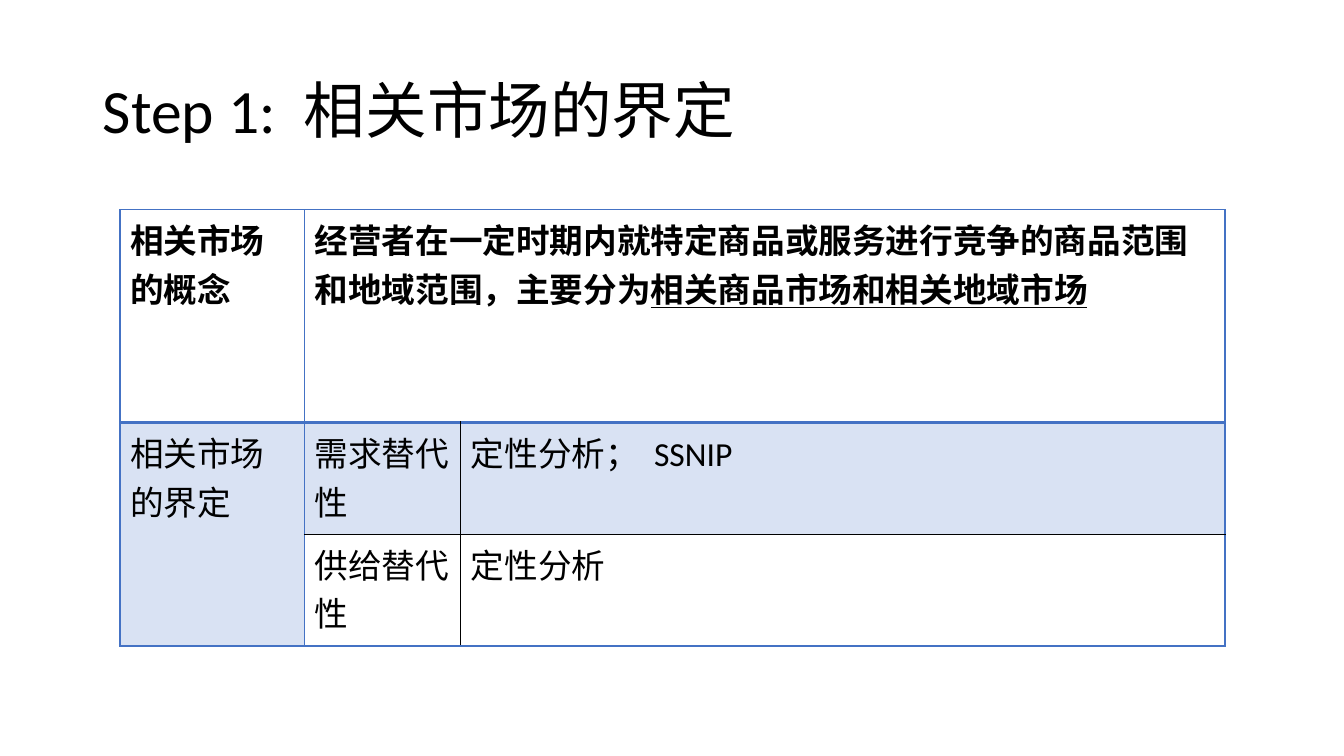
from lxml.etree import SubElement
from pptx import Presentation
from pptx.dml.color import RGBColor
from pptx.enum.text import MSO_ANCHOR as Anchor, PP_ALIGN as Align
from pptx.oxml.ns import qn
from pptx.util import Inches, Pt

BLACK = RGBColor(0x00, 0x00, 0x00)
BLUE = RGBColor(0x44, 0x72, 0xC4)
FONT = "Calibri"
TABLE_SIZE = 24
COLUMN_WIDTHS = (1.83, 1.55, 7.58)
ROW_HEIGHTS = (2.11, 1.11, 1.11)


def add_run(paragraph, text, size, bold=False, underline=False, tracking=0):
    run = paragraph.add_run()
    run.text = text
    font = run.font
    font.name = FONT
    font.size = Pt(size)
    font.bold = bold
    font.underline = underline
    font.color.rgb = BLACK
    if tracking:
        run._r.get_or_add_rPr().set("spc", str(tracking))


def add_title(slide):
    title = slide.shapes.title
    title.left, title.top = Inches(0.92), Inches(0.4)
    title.width, title.height = Inches(11.5), Inches(1.45)
    title.text_frame.vertical_anchor = Anchor.MIDDLE
    paragraph = title.text_frame.paragraphs[0]
    paragraph.alignment = Align.LEFT
    paragraph.line_spacing = 0.9
    add_run(paragraph, "Step 1:", 44)
    add_run(paragraph, " ", 44, tracking=1000)
    add_run(paragraph, "相关市场的界定", 44)


def vertical_line(row, edge):
    if edge == 2:
        return None if row == 0 else (BLACK, 1)
    return BLUE, 1


def horizontal_line(edge, column):
    if edge == 2:
        return None if column == 0 else (BLACK, 1)
    return BLUE, 2 if edge == 1 else 1


def add_border(cell, side, style):
    properties = cell._tc.get_or_add_tcPr()
    line = SubElement(properties, qn(f"a:ln{side}"))
    if style is None:
        SubElement(line, qn("a:noFill"))
        return
    color, width = style
    line.set("w", str(Pt(width)))
    fill = SubElement(line, qn("a:solidFill"))
    SubElement(fill, qn("a:srgbClr")).set("val", str(color))


def format_cell(cell, row, column):
    right = column + (cell.span_width if cell.is_merge_origin else 1)
    bottom = row + (cell.span_height if cell.is_merge_origin else 1)
    add_border(cell, "L", vertical_line(row, column))
    add_border(cell, "R", vertical_line(row, right))
    add_border(cell, "T", horizontal_line(row, column))
    add_border(cell, "B", horizontal_line(bottom, column))
    if row == 1:
        cell.fill.solid()
        cell.fill.fore_color.rgb = BLUE
        color = cell._tc.tcPr.find(qn("a:solidFill")).find(qn("a:srgbClr"))
        SubElement(color, qn("a:alpha")).set("val", "20000")
    else:
        cell.fill.background()


def write_cell(cell, *runs):
    paragraph = cell.text_frame.paragraphs[0]
    for text, options in runs:
        add_run(paragraph, text, TABLE_SIZE, **options)


def add_market_table(slide):
    frame = slide.shapes.add_table(
        len(ROW_HEIGHTS), len(COLUMN_WIDTHS), Inches(1.19), Inches(2.08),
        Inches(sum(COLUMN_WIDTHS)), Inches(sum(ROW_HEIGHTS)))
    table = frame.table
    table.first_row = False
    table.horz_banding = False
    for column, width in zip(table.columns, COLUMN_WIDTHS):
        column.width = Inches(width)
    for row, height in zip(table.rows, ROW_HEIGHTS):
        row.height = Inches(height)
    table.cell(0, 1).merge(table.cell(0, 2))
    table.cell(1, 0).merge(table.cell(2, 0))
    for row in range(len(ROW_HEIGHTS)):
        for column in range(len(COLUMN_WIDTHS)):
            format_cell(table.cell(row, column), row, column)

    bold = {"bold": True}
    write_cell(table.cell(0, 0), ("相关市场的概念", bold))
    write_cell(
        table.cell(0, 1),
        ("经营者在一定时期内就特定商品或服务进行竞争的商品范围和地域范围，主要分为", bold),
        ("相关商品市场和相关地域市场", {"bold": True, "underline": True}))
    write_cell(table.cell(1, 0), ("相关市场的界定", {}))
    write_cell(table.cell(1, 1), ("需求替代性", {}))
    write_cell(table.cell(1, 2), ("定性分析；", {}), (" ", {"tracking": 540}), ("SSNIP", {}))
    write_cell(table.cell(2, 1), ("供给替代性", {}))
    write_cell(table.cell(2, 2), ("定性分析", {}))


def main():
    presentation = Presentation()
    presentation.slide_width = Inches(13.33)
    presentation.slide_height = Inches(7.5)
    slide = presentation.slides.add_slide(presentation.slide_layouts[5])
    add_title(slide)
    add_market_table(slide)
    presentation.save("out.pptx")


if __name__ == "__main__":
    main()
